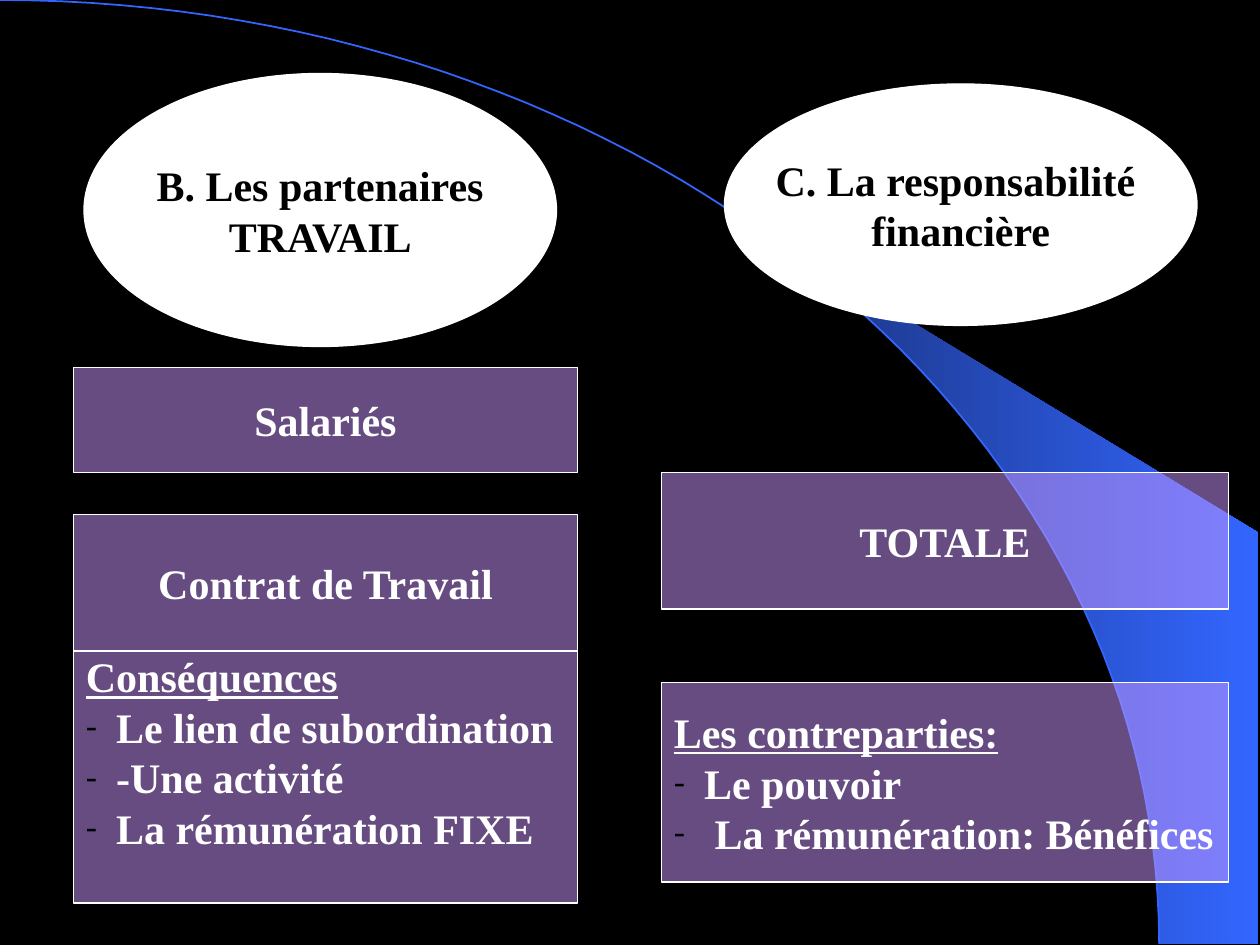
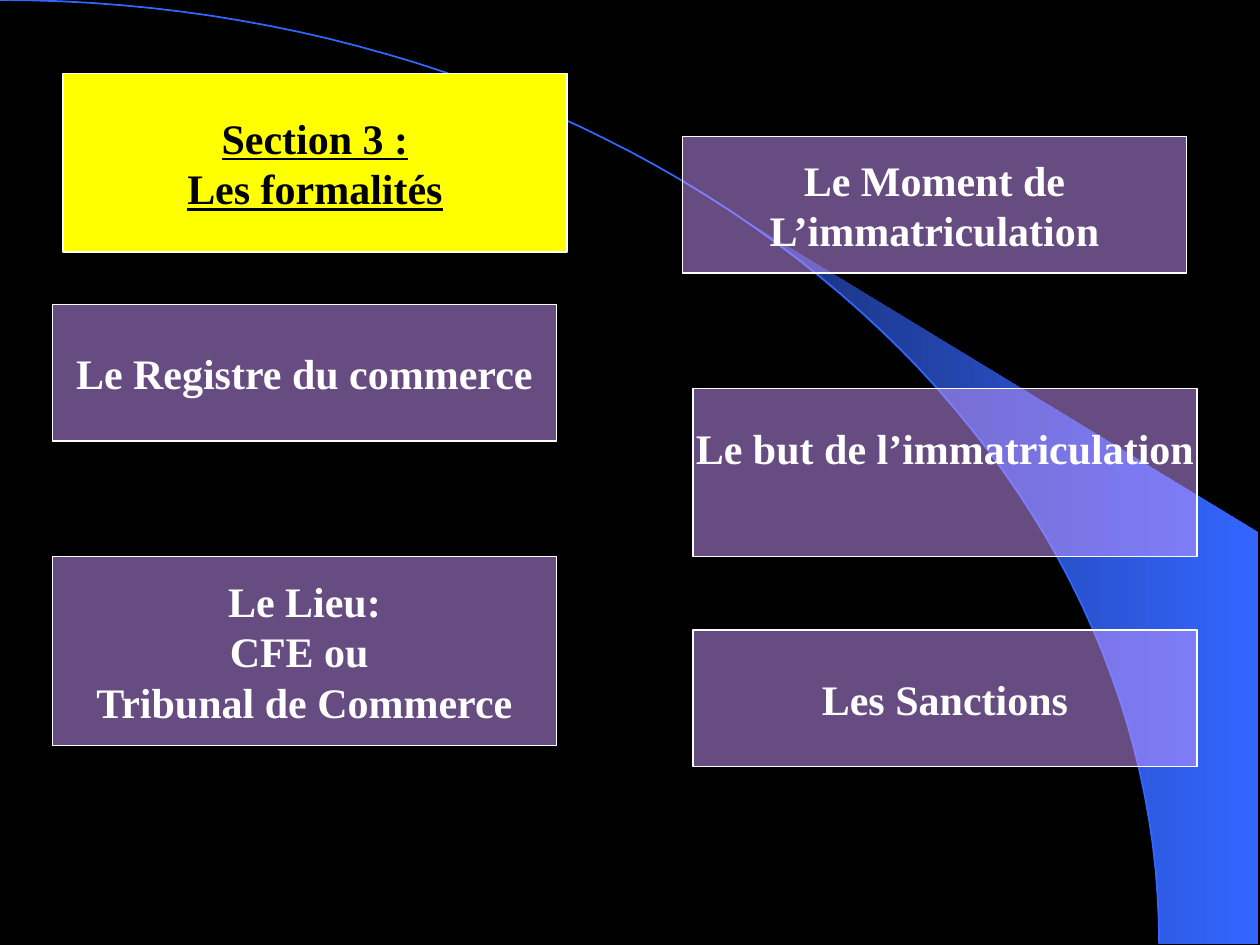
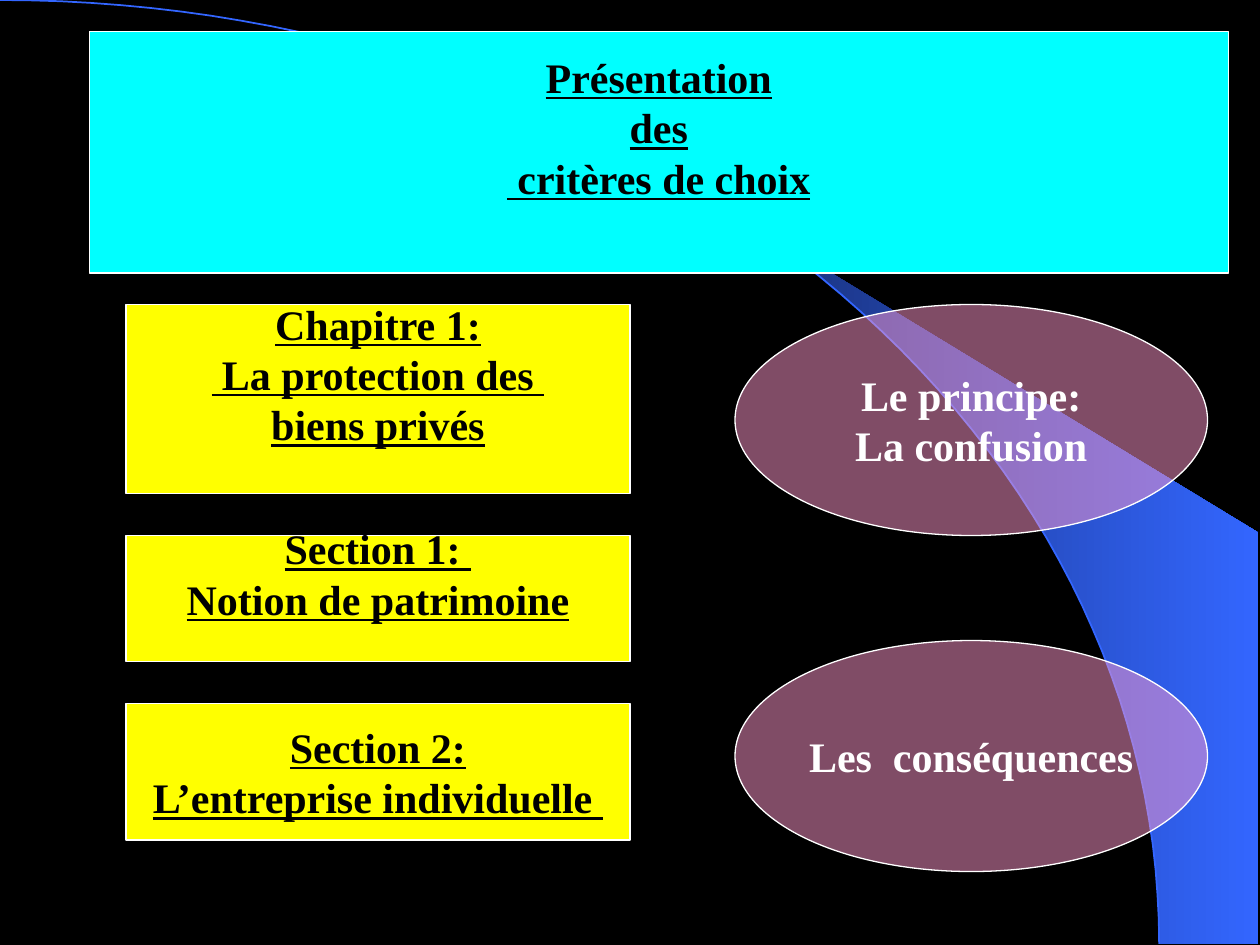
from dataclasses import dataclass
from math import asin, cos, pi, sin

from lxml import etree
from pptx import Presentation
from pptx.dml.color import RGBColor
from pptx.enum.shapes import MSO_SHAPE
from pptx.enum.text import MSO_ANCHOR, PP_ALIGN
from pptx.oxml.ns import qn
from pptx.util import Inches, Pt

RECTANGLE, ELLIPSE = MSO_SHAPE.RECTANGLE, MSO_SHAPE.OVAL
CENTER, LEFT = PP_ALIGN.CENTER, PP_ALIGN.LEFT
MIDDLE = MSO_ANCHOR.MIDDLE

COLORS = {
    "black": "000000",
    "white": "FFFFFF",
    "lavender": "CC99FF",
    "pink": "FF99CC",
    "yellow": "FFFF00",
    "cyan": "00FFFF",
    "blue": "3366FF",
    "navy": "182F76",
}
FONT = "Times New Roman"
FONT_SIZE = Pt(24)
LINE_HEIGHT = Inches(0.4)
BULLET_INDENT = Inches(0.24)

# Grid of the slide: 120 columns by 90 rows
SLIDE_WIDTH, SLIDE_HEIGHT = Inches(10), Inches(7.5)
COLUMN, ROW = SLIDE_WIDTH / 120, SLIDE_HEIGHT / 90

# Background arc, in thousandths of an inch
UNITS = 1000
ARC_WIDTH, ARC_HEIGHT = 9200, 7490
BAND_START, BAND_RIGHT, BAND_CORNER = 5890, 9990, 4230


@dataclass(frozen=True)
class Style:
    fill: str
    text: str
    underline: bool = False
    opacity: int = 100


@dataclass(frozen=True)
class Box:
    column: float
    row: float
    columns: float
    rows: float
    style: Style
    lines: tuple[str, ...]
    bullets: tuple[str, ...] = ()
    geometry: MSO_SHAPE = RECTANGLE
    raised: bool = False  # text sits half a line above the middle


TOPIC = Style("lavender", "white", opacity=50)
IDEA = Style("pink", "white", opacity=50)
HEAD = Style("white", "black")
SECTION = Style("yellow", "black", underline=True)
BANNER = Style("cyan", "black", underline=True)

SLIDES = (
    (
        Box(7, 35, 48, 10, TOPIC, ("Salariés",)),
        Box(7, 49, 48, 13, TOPIC, ("Contrat de Travail",)),
        Box(8, 7, 45, 26, HEAD, ("B. Les partenaires", "TRAVAIL"), geometry=ELLIPSE),
        Box(63, 45, 54, 13, TOPIC, ("TOTALE",)),
        Box(69, 8, 45, 23, HEAD, ("C. La responsabilité ", "financière"), geometry=ELLIPSE),
        Box(7, 62, 48, 24, TOPIC, ("Conséquences",),
            ("Le lien de subordination", "-Une activité", "La rémunération FIXE"),
            raised=True),
        Box(63, 65, 54, 19, TOPIC, ("Les contreparties:",),
            ("Le pouvoir", " La rémunération: Bénéfices")),
    ),
    (
        Box(6, 7, 48, 17, SECTION, ("Section 3 :", "Les formalités")),
        Box(5, 29, 48, 13, TOPIC, ("Le Registre du commerce",)),
        Box(5, 53, 48, 18, TOPIC, ("Le Lieu:", "CFE ou ", "Tribunal de Commerce")),
        Box(65, 13, 48, 13, TOPIC, ("Le Moment de", "L’immatriculation")),
        Box(66, 37, 48, 16, TOPIC, ("Le but de l’immatriculation",), raised=True),
        Box(66, 60, 48, 13, TOPIC, ("Les Sanctions",)),
    ),
    (
        Box(8.5, 3, 108.5, 23, BANNER, ("Présentation", "des", " critères de choix"),
            raised=True),
        Box(12, 29, 48, 18, SECTION,
            ("Chapitre 1:", " La protection des ", "biens privés"), raised=True),
        Box(12, 51, 48, 12, SECTION, ("Section 1: ", "Notion de patrimoine"), raised=True),
        Box(12, 67, 48, 13, SECTION, ("Section 2:", "L’entreprise individuelle ")),
        Box(70, 29, 45, 22, IDEA, ("Le principe:", "La confusion"), geometry=ELLIPSE),
        Box(70, 61, 45, 22, IDEA, ("Les  conséquences",), geometry=ELLIPSE),
    ),
)


def color(name: str) -> RGBColor:
    return RGBColor.from_string(COLORS[name])


def arc_points(start: float, steps: int = 60) -> list[tuple[float, float]]:
    """Points of the quarter ellipse, from an angle to its lower right end."""
    angles = [start + (pi / 2 - start) * step / steps for step in range(steps + 1)]
    return [(ARC_WIDTH * sin(angle), ARC_HEIGHT * (1 - cos(angle))) for angle in angles]


def add_outline(slide, points: list[tuple[float, float]], close: bool):
    builder = slide.shapes.build_freeform(*points[0], scale=Inches(1) / UNITS)
    builder.add_line_segments(points[1:], close=close)
    shape = builder.convert_to_shape()
    shape.shadow.inherit = False
    return shape


def decorate_layout(layout, slide) -> None:
    """Draw the band and the arc on a slide, then hand them to its layout."""
    for placeholder in list(layout.placeholders):
        layout.shapes.element.remove(placeholder.element)

    # Shaded band
    corners = [(BAND_RIGHT, ARC_HEIGHT), (BAND_RIGHT, BAND_CORNER)]
    band = add_outline(slide, arc_points(asin(BAND_START / ARC_WIDTH)) + corners, True)
    band.fill.gradient()
    band.fill.gradient_angle = 0
    for stop, name in zip(band.fill.gradient_stops, ("navy", "blue")):
        stop.color.rgb = color(name)
    band.line.fill.background()

    # Thin arc
    arc = add_outline(slide, arc_points(0), False)
    arc.fill.background()
    arc.line.color.rgb = color("blue")
    arc.line.width = Pt(1)

    for shape in (band, arc):
        layout.shapes.element.append(shape.element)


def add_bullet(paragraph) -> None:
    properties = paragraph._p.get_or_add_pPr()
    properties.set("marL", str(BULLET_INDENT))
    properties.set("indent", str(-BULLET_INDENT))
    bullet_color = etree.Element(qn("a:buClr"))
    etree.SubElement(bullet_color, qn("a:srgbClr"), val=COLORS["black"])
    parts = (
        bullet_color,
        etree.Element(qn("a:buSzPct"), val="80000"),
        etree.Element(qn("a:buFont"), typeface=FONT),
        etree.Element(qn("a:buChar"), char="-"),
    )
    for position, part in enumerate(parts):
        properties.insert(position, part)


def write_text(frame, box: Box) -> None:
    frame.word_wrap = False
    frame.vertical_anchor = MIDDLE
    if box.raised:
        frame.margin_bottom += LINE_HEIGHT
    for index, text in enumerate(box.lines + box.bullets):
        paragraph = frame.paragraphs[0] if index == 0 else frame.add_paragraph()
        is_bullet = index >= len(box.lines)
        paragraph.text = text
        paragraph.alignment = LEFT if box.bullets else CENTER
        font = paragraph.font
        font.name, font.size, font.bold = FONT, FONT_SIZE, True
        font.color.rgb = color(box.style.text)
        font.underline = not is_bullet and (box.style.underline or bool(box.bullets))
        if is_bullet:
            add_bullet(paragraph)


def add_box(slide, box: Box) -> None:
    shape = slide.shapes.add_shape(
        box.geometry,
        round(box.column * COLUMN), round(box.row * ROW),
        round(box.columns * COLUMN), round(box.rows * ROW),
    )
    shape.shadow.inherit = False
    shape.fill.solid()
    shape.fill.fore_color.rgb = color(box.style.fill)
    if box.style.opacity < 100:
        fill_color = shape.element.spPr.find(qn("a:solidFill"))[0]
        etree.SubElement(fill_color, qn("a:alpha"), val=str(box.style.opacity * 1000))
    shape.line.color.rgb = color("white")
    shape.line.width = Pt(0.75)
    write_text(shape.text_frame, box)


def main() -> None:
    presentation = Presentation()
    presentation.slide_width, presentation.slide_height = SLIDE_WIDTH, SLIDE_HEIGHT
    background = presentation.slide_master.background.fill
    background.solid()
    background.fore_color.rgb = color("black")

    layout = presentation.slide_layouts.get_by_name("Blank")
    slides = [presentation.slides.add_slide(layout) for _ in SLIDES]
    decorate_layout(layout, slides[0])
    for slide, boxes in zip(slides, SLIDES):
        for box in boxes:
            add_box(slide, box)
    presentation.save("out.pptx")


if __name__ == "__main__":
    main()
